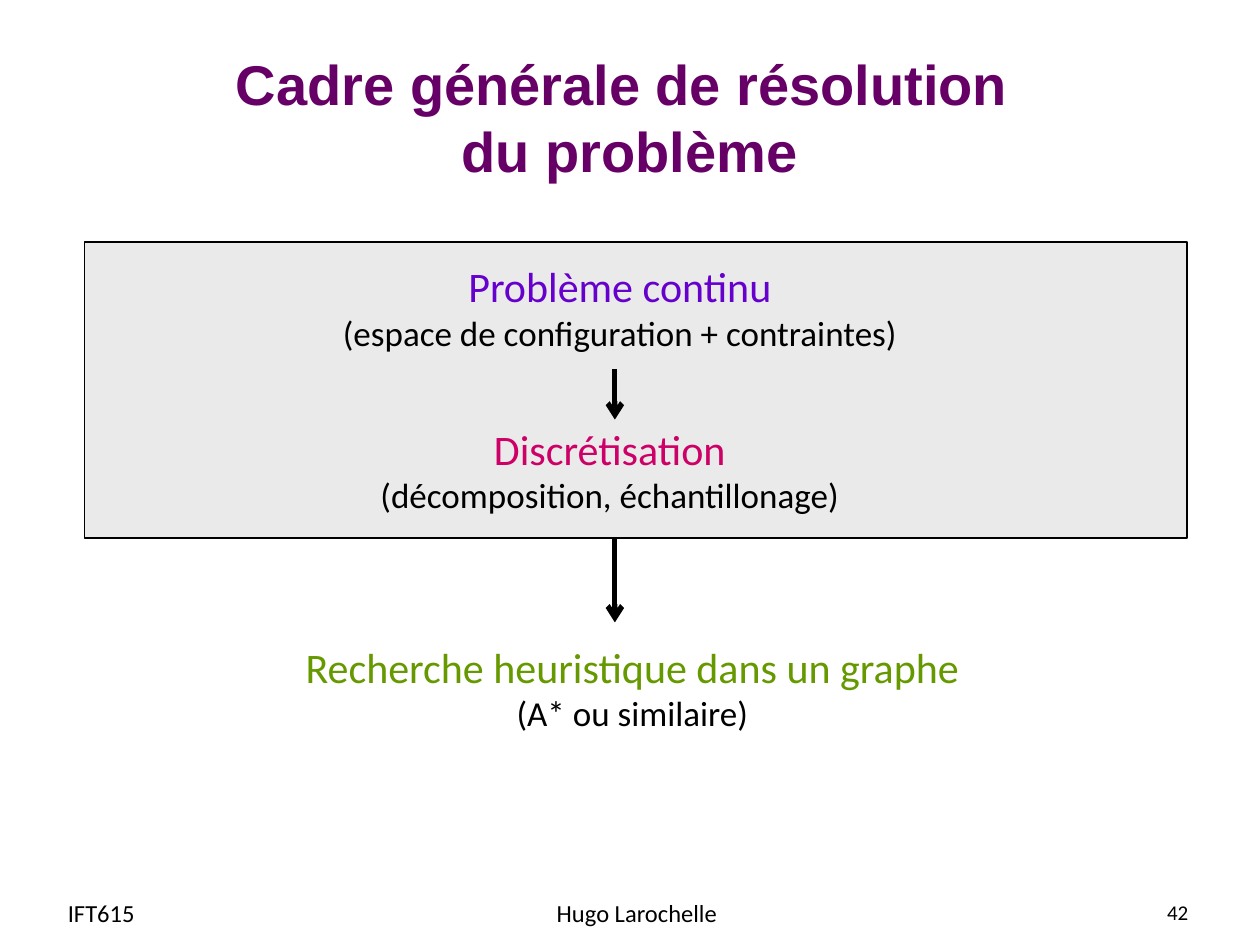
from lxml import etree
from pptx import Presentation
from pptx import util as u
from pptx.dml.color import RGBColor
from pptx.enum import shapes, text
from pptx.oxml import ns

COLORS = {
    "title": "660066", "panel": "EAEAEA", "ink": "000000",
    "continuous": "6600CC", "discrete": "CC0066", "search": "669900",
}
ALIGN = text.PP_ALIGN
ANCHOR = text.MSO_ANCHOR


def rgb(name):
    """Return the named colour."""
    return RGBColor.from_string(COLORS[name])


def add_text(slide, box, lines, align=ALIGN.CENTER, anchor=ANCHOR.MIDDLE, wrap=True):
    """Place a text box with one paragraph per (words, colour, font format) line."""
    shape = slide.shapes.add_textbox(*map(u.Inches, box))
    frame = shape.text_frame
    frame_format = {"word_wrap": wrap, "vertical_anchor": anchor}
    for name, value in frame_format.items():
        setattr(frame, name, value)
    for index, (words, color, font_format) in enumerate(lines):
        paragraph = frame.add_paragraph() if index else frame.paragraphs[0]
        paragraph.text = words
        paragraph.alignment = align
        for run in paragraph.runs:
            for name, value in font_format.items():
                setattr(run.font, name, value)
            run.font.color.rgb = rgb(color)


def add_arrow(slide, x, top, bottom):
    """Draw a thick vertical arrow pointing down."""
    line = slide.shapes.add_connector(
        shapes.MSO_CONNECTOR.STRAIGHT, *map(u.Inches, (x, top, x, bottom)))
    line.line.width = u.Pt(3)
    line.line.color.rgb = rgb("ink")
    outline = line.line._get_or_add_ln()
    etree.SubElement(outline, ns.qn("a:tailEnd"), type="arrow")
    etree.SubElement(line._element.spPr, ns.qn("a:effectLst"))


def add_title(slide, box):
    """Place the two-line title."""
    font = {"name": "Arial", "size": u.Pt(32), "bold": True}
    add_text(slide, box, [("Cadre générale de résolution \vdu problème", "title", font)])


def add_diagram(slide, box):
    """Place the panel, the three steps and the arrows that join them."""
    left, top, width, height = box
    panel = slide.shapes.add_shape(shapes.MSO_SHAPE.RECTANGLE, *map(u.Inches, box))
    panel.shadow.inherit = False
    panel.fill.solid()
    panel.fill.fore_color.rgb = rgb("panel")
    panel.line.color.rgb = rgb("ink")
    panel.line.width = u.Pt(0.75)

    steps = [
        (1.92, 0.1, 4.66, "Problème continu",
         "(espace de configuration + contraintes)", "continuous"),
        (2.19, 1.39, 3.96, "Discrétisation",
         "(décomposition, échantillonage)", "discrete"),
        (1.62, 3.12, 5.46, "Recherche heuristique dans un graphe",
         "(A* ou similaire)", "search"),
    ]
    for x, y, step_width, heading, detail, color in steps:
        lines = [(heading, color, {"name": "Calibri", "size": u.Pt(24)}),
                 (detail, "ink", {"name": "Calibri", "size": u.Pt(20)})]
        add_text(slide, (left + x, top + y, step_width, 0.84), lines,
                 anchor=ANCHOR.TOP, wrap=False)

    for start, end in ((1.01, 1.41), (height, height + 0.67)):
        add_arrow(slide, left + 4.21, top + start, top + end)


def add_footer(slide, box):
    """Place the course code, the author and the page number."""
    left, top, width, height = box
    parts = [
        (0, 1.93, "IFT615", 14, ALIGN.LEFT),
        (3.03, 3.17, "Hugo Larochelle", 14, ALIGN.CENTER),
        (width - 2.33, 2.33, "42", 12, ALIGN.RIGHT),
    ]
    for x, part_width, words, size, align in parts:
        font = {"name": "Calibri", "size": u.Pt(size)}
        add_text(slide, (left + x, top, part_width, height), [(words, "ink", font)], align)


def main():
    """Build the slide and save it."""
    presentation = Presentation()
    presentation.slide_width = u.Inches(10)
    presentation.slide_height = u.Inches(7.5)
    slide = presentation.slides.add_slide(presentation.slide_layouts[6])
    add_diagram(slide, (0.67, 1.92, 8.75, 2.35))
    add_footer(slide, (0.44, 7.04, 9.09, 0.4))
    add_title(slide, (0.5, 0.3, 9, 1.25))
    presentation.save("out.pptx")


if __name__ == "__main__":
    main()
